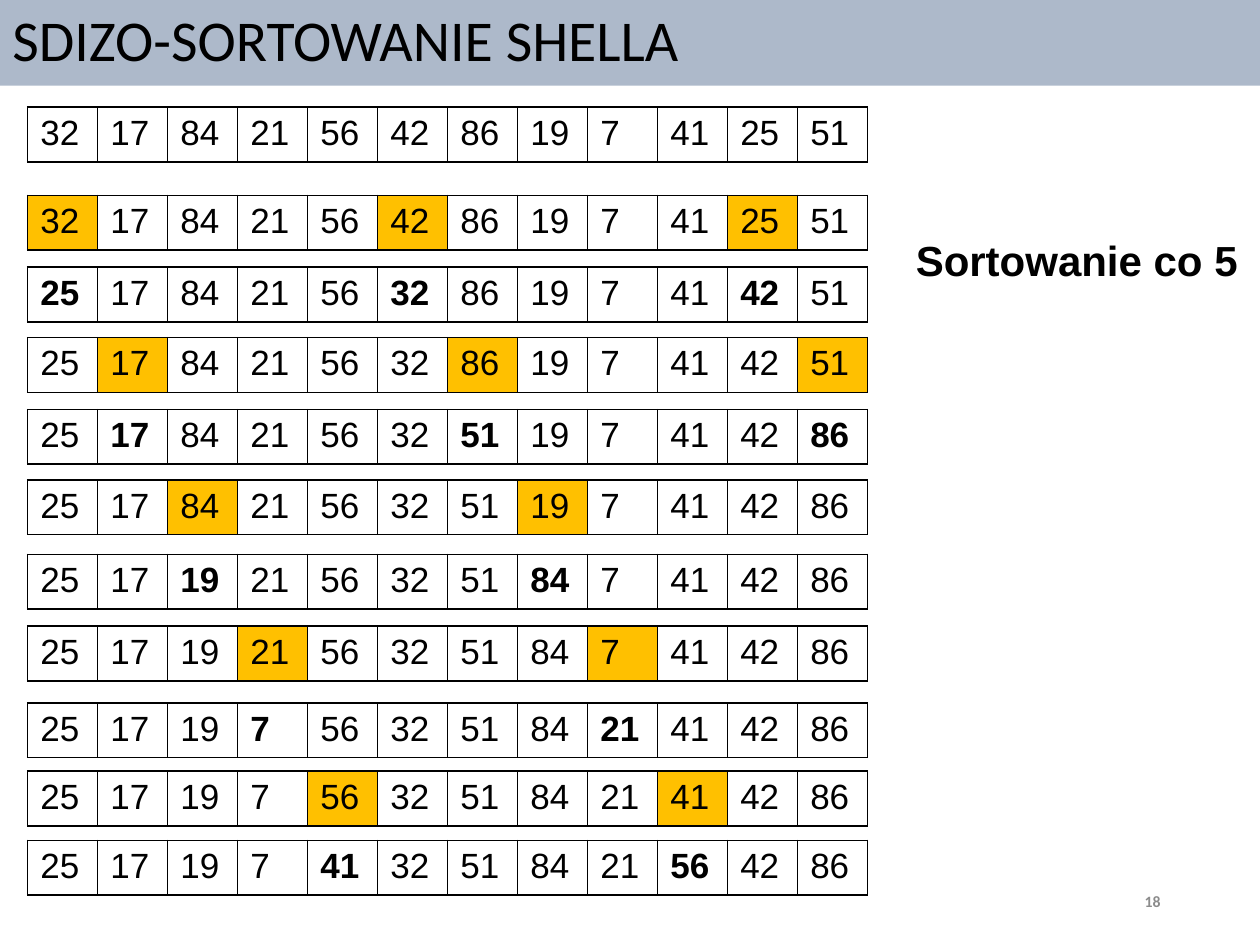
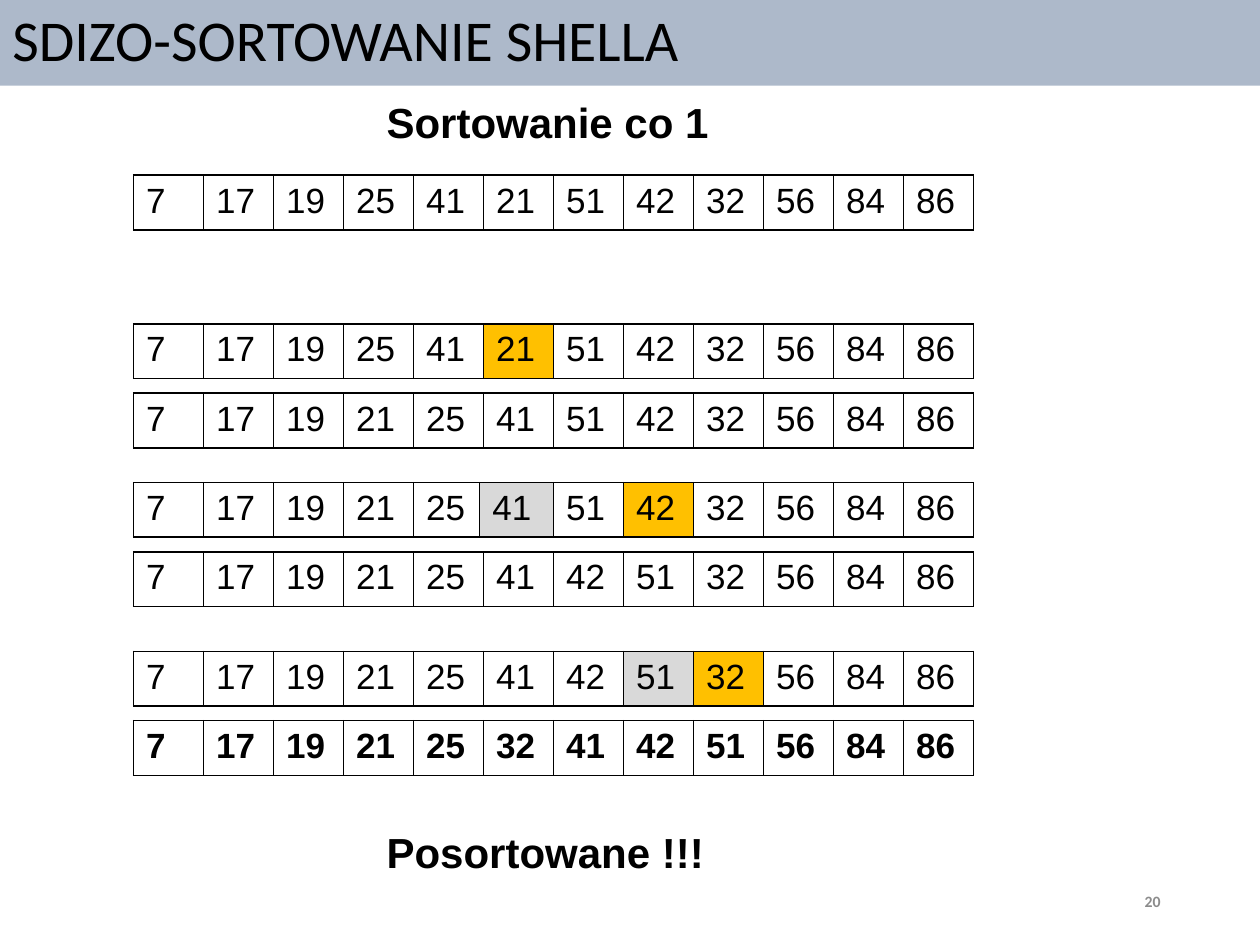
from lxml.etree import SubElement
from pptx import Presentation
from pptx.dml.color import RGBColor
from pptx.enum.shapes import MSO_SHAPE
from pptx.enum.text import MSO_ANCHOR, PP_ALIGN
from pptx.oxml.ns import qn
from pptx.util import Inches, Pt

BLACK, BAND, GREY, ORANGE, PAGE_GREY = "000000", "ADB9CA", "D9D9D9", "FFC000", "8C8C8C"
TITLE = dict(name="Calibri", size=Pt(33), bold=False)
LABEL = dict(name="Arial", size=Pt(24), bold=True)
NUMBER = dict(name="Arial", size=Pt(20), bold=False)
PAGE = dict(name="Calibri", size=Pt(9), bold=True)

TITLE_BOX = (0, 0, 10, 0.68)
PAGE_BOX = (7.06, 6.95, 2.25, 0.4)
LABEL_SIZE = (2.83, 0.5)
ROW_WIDTH, ROW_HEIGHT = 6.67, 0.41

UNSORTED = [32, 17, 84, 21, 56, 42, 86, 19, 7, 41, 25, 51]
NEARLY_SORTED = [7, 17, 19, 25, 41, 21, 51, 42, 32, 56, 84, 86]
GAP = 5
CHAIN_TOPS = [(1.55, 2.12), (2.68, 3.25), (3.81, 4.4), (4.97, 5.58), (6.12, 6.67)]
INSERTIONS = [
    dict(tops=(2.57, 3.12), moved=5),
    dict(tops=(3.83, 4.38), moved=7, compared=5, shift=0.03),
    dict(tops=(5.17, 5.72), moved=8, compared=7),
]


def color(value):
    return RGBColor.from_string(value)


def set_all(target, values):
    for key, value in values.items():
        setattr(target, key, value)


def write(frame, text, style, text_color=BLACK, **paragraph_format):
    paragraph = frame.paragraphs[0]
    set_all(paragraph, paragraph_format)
    run = paragraph.add_run()
    run.text = text
    set_all(run.font, style)
    run.font.color.rgb = color(text_color)


def add_text(slide, box, text, style, text_color=BLACK, anchor=MSO_ANCHOR.TOP, **paragraph_format):
    shape = slide.shapes.add_textbox(*map(Inches, box))
    set_all(shape.text_frame, dict(word_wrap=True, vertical_anchor=anchor))
    write(shape.text_frame, text, style, text_color, **paragraph_format)


def add_title(slide, box, text):
    shape = slide.shapes.add_shape(MSO_SHAPE.RECTANGLE, *map(Inches, box))
    shape.shadow.inherit = False
    shape.fill.solid()
    shape.fill.fore_color.rgb = color(BAND)
    shape.line.fill.background()
    set_all(shape.text_frame, dict(word_wrap=True, vertical_anchor=MSO_ANCHOR.MIDDLE))
    write(shape.text_frame, text, TITLE, alignment=PP_ALIGN.LEFT, line_spacing=0.9)


def add_borders(cell):
    properties = cell._tc.get_or_add_tcPr()
    for side in ("a:lnL", "a:lnR", "a:lnT", "a:lnB"):
        line = SubElement(properties, qn(side), w=str(Pt(1)))
        fill = SubElement(line, qn("a:solidFill"))
        SubElement(fill, qn("a:srgbClr"), val=BLACK)


def add_number_row(slide, left, top, values, fills={}, bold=()):
    box = map(Inches, (left, top, ROW_WIDTH, ROW_HEIGHT))
    table = slide.shapes.add_table(1, len(values), *box).table
    set_all(table, dict(first_row=False, horz_banding=False))
    for index, value in enumerate(values):
        table.columns[index].width = Inches(ROW_WIDTH / len(values))
        cell = table.cell(0, index)
        add_borders(cell)
        if index in fills:
            cell.fill.solid()
            cell.fill.fore_color.rgb = color(fills[index])
        else:
            cell.fill.background()
        write(cell.text_frame, str(value), {**NUMBER, "bold": index in bold})
    return table


def add_sorting_slide(presentation, page):
    slide = presentation.slides.add_slide(presentation.slide_layouts[6])
    add_title(slide, TITLE_BOX, "SDIZO-SORTOWANIE SHELLA")
    add_text(slide, PAGE_BOX, page, PAGE, PAGE_GREY, MSO_ANCHOR.MIDDLE, alignment=PP_ALIGN.RIGHT)
    return slide


def add_chain_sorting(slide, left, first_top):
    values = list(UNSORTED)
    add_number_row(slide, left, first_top, values)
    for start, (marked_top, sorted_top) in enumerate(CHAIN_TOPS):
        chain = range(start, len(values), GAP)
        if start == GAP - 1:
            chain = chain[:2]
        add_number_row(slide, left, marked_top, values, fills=dict.fromkeys(chain, ORANGE))
        values[start::GAP] = sorted(values[start::GAP])
        add_number_row(slide, left, sorted_top, values, bold=chain)


def add_insertion_sorting(slide, left, first_top):
    values = list(NEARLY_SORTED)
    add_number_row(slide, left, first_top, values)
    for step in INSERTIONS:
        moved, compared = step["moved"], step.get("compared")
        marked_top, sorted_top = step["tops"]
        table = add_number_row(slide, left, marked_top, values, {compared: GREY, moved: ORANGE})
        if "shift" in step:
            shift = Inches(step["shift"])
            table.columns[compared - 1].width -= shift
            table.columns[compared].width += shift
        values[:moved + 1] = sorted(values[:moved + 1])
        finished = values == sorted(values)
        add_number_row(slide, left, sorted_top, values, bold=range(len(values)) if finished else ())


def main():
    presentation = Presentation()
    set_all(presentation, dict(slide_width=Inches(10), slide_height=Inches(7.5)))

    slide = add_sorting_slide(presentation, "18")
    add_chain_sorting(slide, 0.22, 0.85)
    add_text(slide, (7.17, 1.81, *LABEL_SIZE), "Sortowanie co 5", LABEL)

    slide = add_sorting_slide(presentation, "20")
    add_insertion_sorting(slide, 1.06, 1.39)
    for top, text in ((0.72, "Sortowanie co 1"), (6.51, "Posortowane !!!")):
        add_text(slide, (2.97, top, *LABEL_SIZE), text, LABEL)

    presentation.save("out.pptx")


if __name__ == "__main__":
    main()
